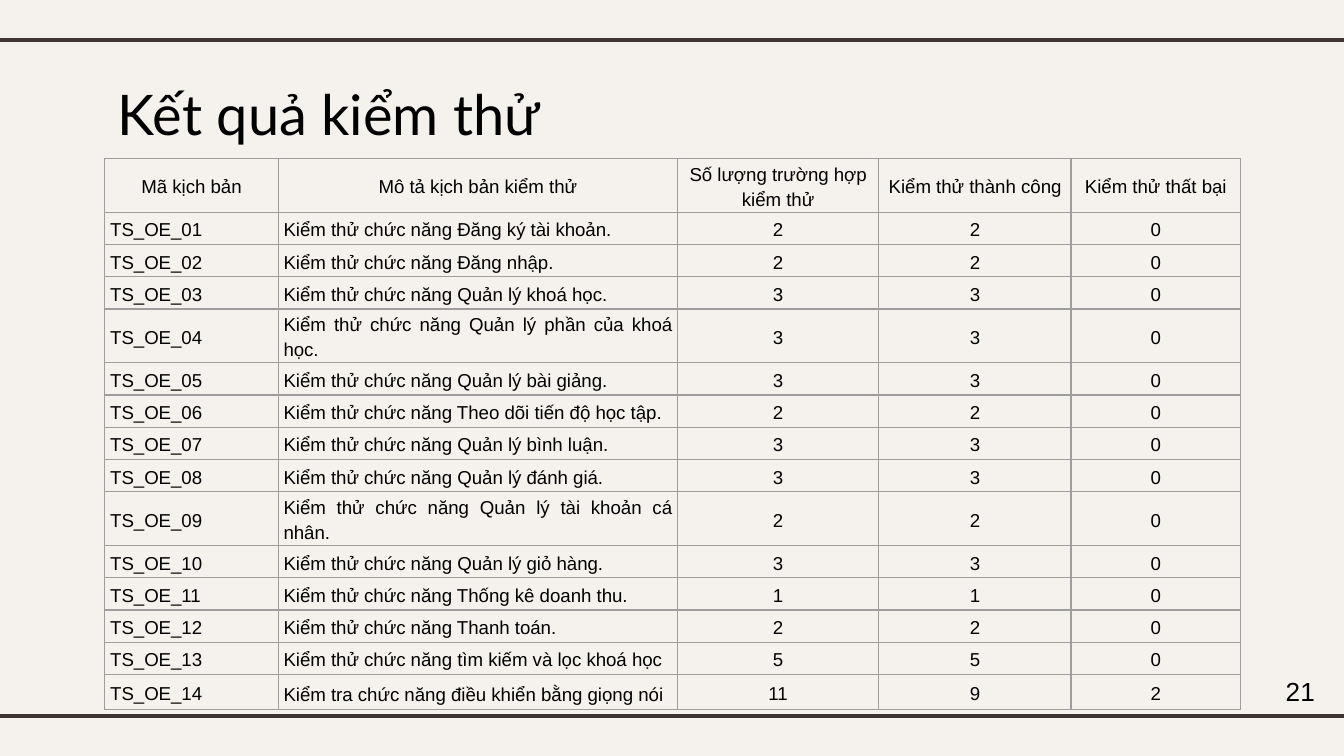
from pptx import Presentation
from pptx.dml.color import RGBColor
from pptx.enum.shapes import MSO_CONNECTOR, MSO_SHAPE
from pptx.enum.text import MSO_ANCHOR, PP_ALIGN
from pptx.oxml import parse_xml
from pptx.oxml.ns import nsdecls
from pptx.util import Inches, Pt

COLORS = {"bg": "F5F2EE", "rule": "3F3533", "text": "000000", "border": "9E9E9E"}
COL_WIDTHS = [1.29, 2.97, 1.5, 1.43, 1.26]
HEADER_H, ROW_H, LAST_H = 0.36, 0.24, 0.26
HEADERS = ["Mã kịch bản", "Mô tả kịch bản kiểm thử", "Số lượng trường hợp kiểm thử",
           "Kiểm thử thành công", "Kiểm thử thất bại"]
SCENARIOS = [
    ("Kiểm thử chức năng Đăng ký tài khoản.", 2, 2, 0),
    ("Kiểm thử chức năng Đăng nhập.", 2, 2, 0),
    ("Kiểm thử chức năng Quản lý khoá học.", 3, 3, 0),
    ("Kiểm thử chức năng Quản lý phần của khoá học.", 3, 3, 0),
    ("Kiểm thử chức năng Quản lý bài giảng.", 3, 3, 0),
    ("Kiểm thử chức năng Theo dõi tiến độ học tập.", 2, 2, 0),
    ("Kiểm thử chức năng Quản lý bình luận.", 3, 3, 0),
    ("Kiểm thử chức năng Quản lý đánh giá.", 3, 3, 0),
    ("Kiểm thử chức năng Quản lý tài khoản cá nhân.", 2, 2, 0),
    ("Kiểm thử chức năng Quản lý giỏ hàng.", 3, 3, 0),
    ("Kiểm thử chức năng Thống kê doanh thu.", 1, 1, 0),
    ("Kiểm thử chức năng Thanh toán.", 2, 2, 0),
    ("Kiểm thử chức năng tìm kiếm và lọc khoá học", 5, 5, 0),
    ("Kiểm tra chức năng điều khiển bằng giọng nói", 11, 9, 2),
]


def rgb(name):
    """Return the named colour."""
    return RGBColor.from_string(COLORS[name])


def set_text(tf, text, size, font="Arial", align=PP_ALIGN.LEFT):
    """Fill a text frame with one styled paragraph and return it."""
    p = tf.paragraphs[0]
    p.text = text
    p.alignment = align
    p.font.size, p.font.name = Pt(size), font
    p.font.color.rgb = rgb("text")
    return p


def add_rule(s, x, y, w):
    """Draw a horizontal rule across the slide."""
    line = s.shapes.add_connector(MSO_CONNECTOR.STRAIGHT, Inches(x), Inches(y),
                                  Inches(x + w), Inches(y))
    line.line.color.rgb, line.line.width = rgb("rule"), Pt(2.25)
    line._element.spPr.append(parse_xml(f"<a:effectLst {nsdecls('a')}/>"))


def add_title(s, x, y, w, h, text):
    """Place the slide title."""
    tf = s.shapes.add_textbox(Inches(x), Inches(y), Inches(w), Inches(h)).text_frame
    tf.word_wrap = True
    tf.margin_left = tf.margin_right = tf.margin_top = tf.margin_bottom = Inches(0.1)
    set_text(tf, text, 30, "Lato")


def add_borders(cell):
    """Outline all four sides of a table cell."""
    tc_pr = cell._tc.get_or_add_tcPr()
    for i, side in enumerate(("lnL", "lnR", "lnT", "lnB")):
        tc_pr.insert(i, parse_xml(
            f'<a:{side} {nsdecls("a")} w="{Pt(0.75)}"><a:solidFill>'
            f'<a:srgbClr val="{COLORS["border"]}"/></a:solidFill></a:{side}>'))


def add_results(s, x, y, w, h):
    """Place the table of test results."""
    rows = [HEADERS] + [(f"TS_OE_{n:02}", *row) for n, row in enumerate(SCENARIOS, 1)]
    frame = s.shapes.add_table(len(rows), len(HEADERS), Inches(x), Inches(y),
                               Inches(w), Inches(h))
    table = frame.table
    table.first_row = table.horz_banding = False
    for col, width in zip(table.columns, COL_WIDTHS):
        col.width = Inches(width)
    last = len(rows) - 1
    for i, values in enumerate(rows):
        table.rows[i].height = Inches({0: HEADER_H, last: LAST_H}.get(i, ROW_H))
        for j, value in enumerate(values):
            cell = table.cell(i, j)
            cell.fill.background()
            cell.vertical_anchor = MSO_ANCHOR.MIDDLE
            cell.margin_left = cell.margin_right = Inches(0.04)
            cell.margin_top = cell.margin_bottom = 0
            align = PP_ALIGN.JUSTIFY if i and j < 2 else PP_ALIGN.CENTER
            p = set_text(cell.text_frame, str(value), 10, align=align)
            p.line_spacing = 1.3 if (i, j) == (last, 1) else 1.2
            p.space_after = Pt(6)
            add_borders(cell)
    frame.width, frame.height = Inches(w), Inches(h)


def add_page_number(s, x, y, w, h, number):
    """Place the page number in an unfilled ellipse."""
    sp = s.shapes.add_shape(MSO_SHAPE.OVAL, Inches(x), Inches(y), Inches(w), Inches(h))
    sp.shadow.inherit = False
    sp.fill.background()
    sp.line.fill.background()
    sp.text_frame.vertical_anchor = MSO_ANCHOR.MIDDLE
    set_text(sp.text_frame, str(number), 14, align=PP_ALIGN.CENTER)


def main():
    """Build and save the slide."""
    prs = Presentation()
    prs.slide_width = Inches(10)
    prs.slide_height = prs.slide_width * 9 // 16
    s = prs.slides.add_slide(prs.slide_layouts[6])
    s.background.fill.solid()
    s.background.fill.fore_color.rgb = rgb("bg")
    for y in (0.3, 5.33):
        add_rule(s, -0.08, y, 10.16)
    add_title(s, 0.78, 0.49, 8.44, 0.63, "Kết quả kiểm thử")
    add_results(s, 0.78, 1.18, 8.44, 4.04)
    add_page_number(s, 9.35, 4.94, 0.65, 0.4, 21)
    prs.save("out.pptx")


if __name__ == "__main__":
    main()
